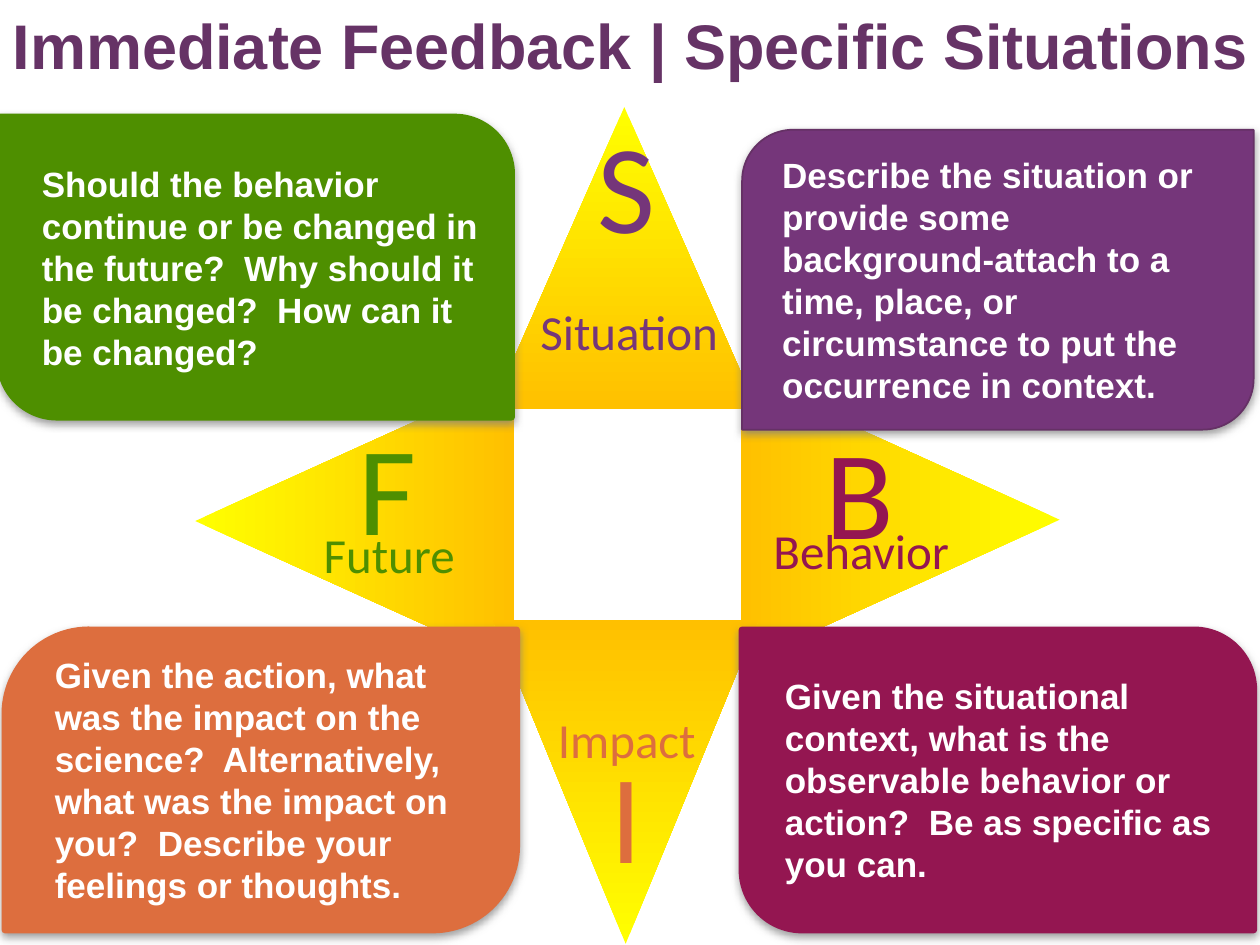
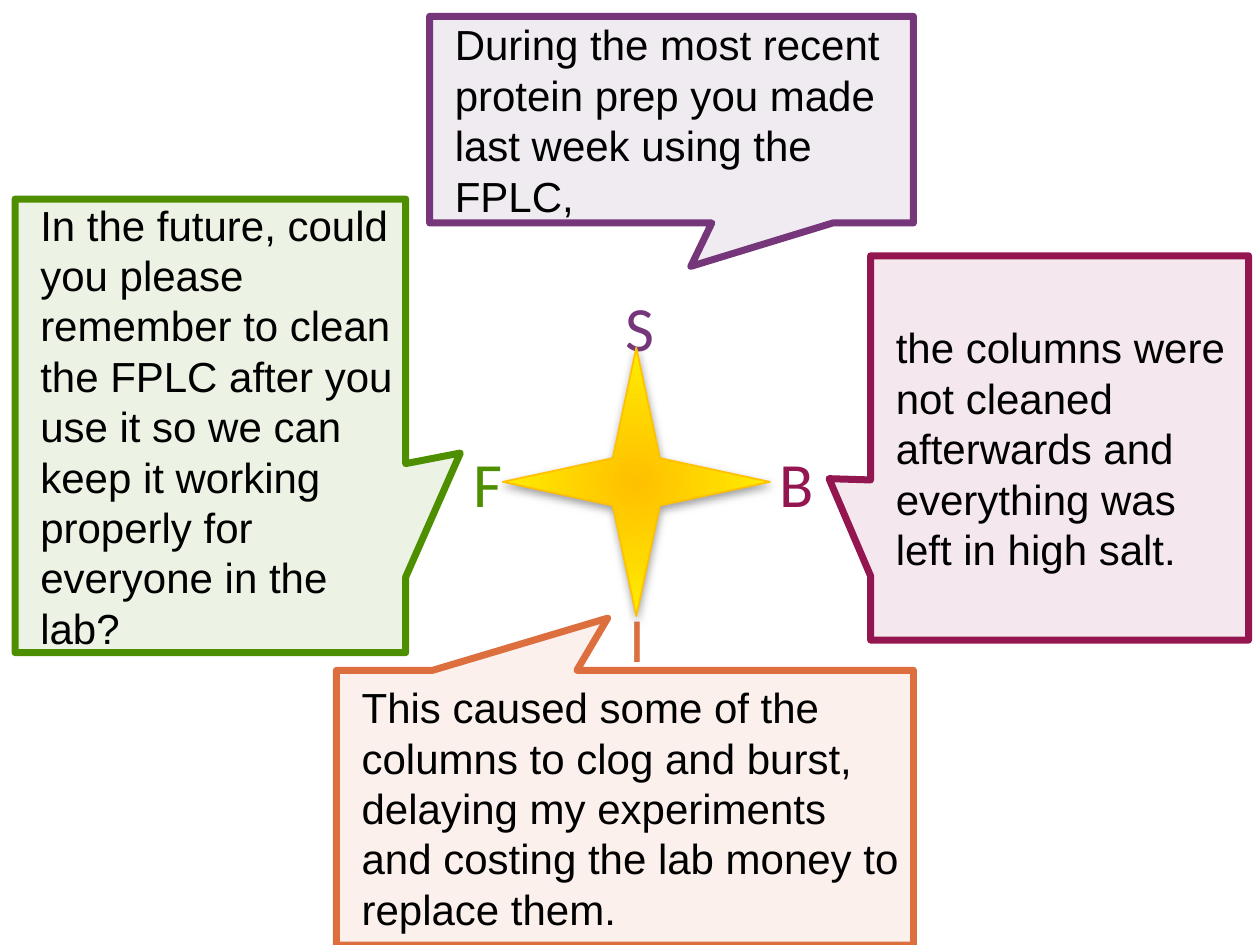
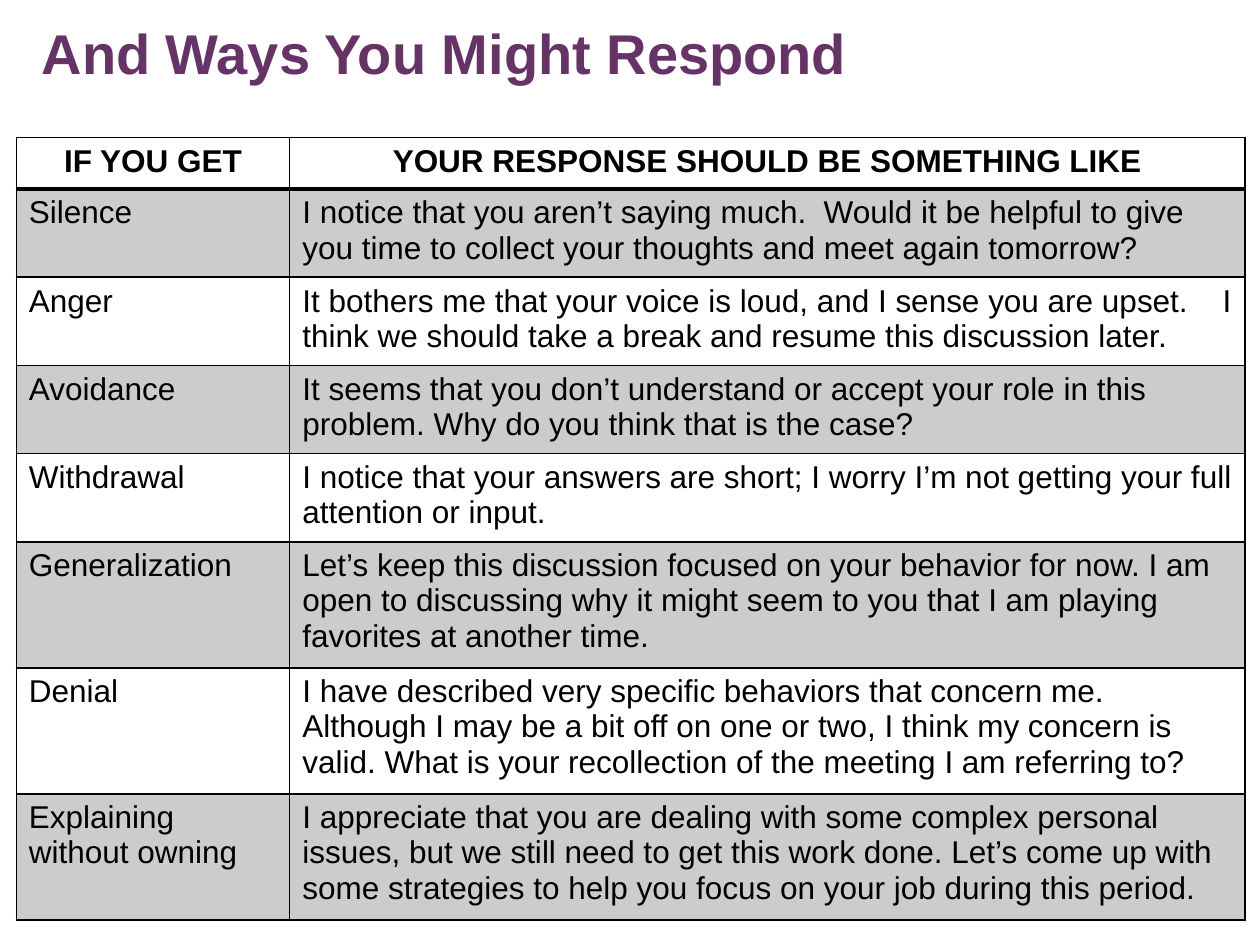
from dataclasses import dataclass

from lxml.etree import SubElement
from pptx import Presentation
from pptx.dml.color import RGBColor
from pptx.enum.shapes import MSO_SHAPE as Shape
from pptx.enum.text import MSO_ANCHOR as Anchor, MSO_AUTO_SIZE as AutoSize, PP_ALIGN as Align
from pptx.oxml import parse_xml
from pptx.oxml.ns import nsdecls, qn
from pptx.util import Inches, Pt


@dataclass(frozen=True)
class Theme:
    situation: str = "75367A"
    behavior: str = "941651"
    impact: str = "DD6E3E"
    future: str = "4E8F00"
    situation_edge: str = "653165"
    title: str = "663366"
    ink: str = "000000"
    paper: str = "FFFFFF"
    tip: str = "FFFF00"
    core: str = "FFC000"
    shade: str = "808080"
    heading_font: str = "Arial"
    letter_font: str = "Calibri"
    title_size: int = 36
    table_title_size: int = 32
    letter_size: int = 72
    small_letter_size: int = 36
    word_size: int = 28
    card_size: int = 20
    callout_size: int = 24
    table_size: int = 18


THEME = Theme()
SLIDE_WIDTH, SLIDE_HEIGHT = Inches(10), Inches(7.5)
COLUMN, ROW = SLIDE_WIDTH // 100, SLIDE_HEIGHT // 75
TITLE_ONLY, BLANK = 5, 6

POINTS = [
    (60, 28.6, 22.9, 25.3, 90),
    (16.7, 28.7, 22.9, 25.3, 270),
    (39, 8.5, 21.1, 24, 0),
    (39.1, 49.2, 21.1, 25.7, 180),
]

WORDS = [
    ("Situation", THEME.situation, (46.4, 8, 6.7, 13.1), (41.9, 23.4, 21.8, 5.7)),
    ("Behavior", THEME.behavior, (64.5, 32.3, 7.5, 13.1), (60.4, 40.8, 16.1, 5.7)),
    ("Impact", THEME.impact, (47.5, 58, 9.2, 13.1), (43.3, 55.8, 14.4, 5.7)),
    ("Future", THEME.future, (27.5, 32, 6.7, 13.1), (24.7, 41.1, 14.2, 5.7)),
]

CARDS = [
    (58.9, 10.3, THEME.situation, THEME.situation_edge, 1, (0.17, 0),
     "Describe the situation or provide some background-attach to a time, place, "
     "or circumstance to put the occurrence in context."),
    (58.9, 50, THEME.behavior, THEME.behavior, 4, (0, 0.2),
     "Given the situational context, what is the observable behavior or action?  "
     "Be as specific as you can."),
    (0.4, 50, THEME.impact, THEME.impact, 4, (0.28, 0),
     "Given the action, what was the impact on the science?  Alternatively, what was "
     "the impact on you?  Describe your feelings or thoughts."),
    (0, 9.3, THEME.future, THEME.future, 4, (0, 0.19),
     "Should the behavior continue or be changed in the future?  Why should it be "
     "changed?  How can it be changed?"),
]

CALLOUTS = [
    ("S", THEME.situation, (48.7, 22.4, 4.6, 7.1), (34.1, 1.3, 38.4, 16.4), (0.04, 0.71),
     "During the most recent protein prep you made last week using the FPLC,"),
    ("B", THEME.behavior, (60.9, 34.8, 4.1, 7.2), (69.1, 20.3, 30, 30.5), (-0.61, 0.08),
     "the columns were not cleaned afterwards and everything was left in high salt."),
    ("F", THEME.future, (36.6, 34.8, 2.7, 7.1), (1.2, 15.8, 31, 36), (0.64, 0.06),
     "In the future, could you please remember to clean the FPLC after you use it "
     "so we can keep it working properly for everyone in the lab?"),
    ("I", THEME.impact, (49, 47.1, 6.3, 7.1), (26.7, 53.2, 45.8, 21.8), (-0.03, -0.69),
     "This caused some of the columns to clog and burst, delaying my experiments "
     "and costing the lab money to replace them."),
]

RESPONSES = [
    (4.1, "IF YOU GET", "YOUR RESPONSE SHOULD BE SOMETHING LIKE"),
    (7, "Silence",
     "I notice that you aren’t saying much.  Would it be helpful to give you time to "
     "collect your thoughts and meet again tomorrow?"),
    (7, "Anger",
     "It bothers me that your voice is loud, and I sense you are upset.    I think we "
     "should take a break and resume this discussion later."),
    (7, "Avoidance",
     "It seems that you don’t understand or accept your role in this problem. Why do "
     "you think that is the case?"),
    (7, "Withdrawal",
     "I notice that your answers are short; I worry I’m not getting your full "
     "attention or input."),
    (10, "Generalization",
     "Let’s keep this discussion focused on your behavior for now. I am open to "
     "discussing why it might seem to you that I am playing favorites at another time."),
    (10, "Denial",
     "I have described very specific behaviors that concern me. Although I may be a "
     "bit off on one or two, I think my concern is valid. What is your recollection "
     "of the meeting I am referring to?"),
    (10, "Explaining without owning",
     "I appreciate that you are dealing with some complex personal issues, but we "
     "still need to get this work done. Let’s come up with some strategies to help "
     "you focus on your job during this period."),
]


def rgb(color):
    return RGBColor.from_string(color)


def grid(left, top, width, height):
    return (round(left * COLUMN), round(top * ROW),
            round(width * COLUMN), round(height * ROW))


def write(frame, text, size, color, font=THEME.heading_font, bold=False, align=Align.LEFT):
    para = frame.paragraphs[0]
    para.alignment = align
    span = para.add_run()
    span.text = text
    span.font.size = Pt(size)
    span.font.name = font
    span.font.bold = bold
    span.font.color.rgb = rgb(color)


def add_title(page, text, area, size):
    title = page.shapes.title
    title.left, title.top, title.width, title.height = grid(*area)
    frame = title.text_frame
    frame.auto_size = AutoSize.NONE
    frame.vertical_anchor = Anchor.TOP
    write(frame, text, size, THEME.title, bold=True)


def add_label(page, text, area, size, color):
    box = page.shapes.add_textbox(*grid(*area))
    box.text_frame.word_wrap = True
    write(box.text_frame, text, size, color, font=THEME.letter_font)


def paint(fill, holder, color, opacity=100):
    fill.solid()
    fill.fore_color.rgb = rgb(color)
    if opacity < 100:
        tint = holder.find(qn("a:solidFill"))[0]
        SubElement(tint, qn("a:alpha"), val=str(opacity * 1000))


def blend(fill, first, last):
    fill.gradient()
    fill.gradient_angle = 270
    for stop, color in zip(fill.gradient_stops, (first, last)):
        stop.color.rgb = rgb(color)


def add_figure(page, kind, area, edge=None, weight=1, adjust=()):
    figure = page.shapes.add_shape(kind, *grid(*area))
    figure.shadow.inherit = False
    for index, value in enumerate(adjust):
        figure.adjustments[index] = value
    if edge:
        figure.line.color.rgb = rgb(edge)
        figure.line.width = Pt(weight)
    else:
        figure.line.fill.background()
    return figure


def drop_shadow(figure):
    effects = figure._element.spPr.find(qn("a:effectLst"))
    effects.append(parse_xml(
        f'<a:outerShdw {nsdecls("a")} blurRad="{Pt(5)}" dist="{Pt(2)}" dir="5400000" '
        f'rotWithShape="0"><a:srgbClr val="{THEME.shade}"><a:alpha val="75000"/>'
        f'</a:srgbClr></a:outerShdw>'))


def fill_text(figure, text, size, color, bold=False):
    frame = figure.text_frame
    frame.word_wrap = True
    frame.vertical_anchor = Anchor.MIDDLE
    frame.margin_left = Inches(0.2)
    write(frame, text, size, color, bold=bold)


def add_point(page, left, top, width, height, turn):
    point = add_figure(page, Shape.ISOSCELES_TRIANGLE, (left, top, width, height))
    point.rotation = turn
    blend(point.fill, THEME.tip, THEME.core)


def add_card(page, left, top, color, edge, weight, corners, text):
    card = add_figure(page, Shape.ROUND_2_DIAG_RECTANGLE, (left, top, 40.6, 23.8),
                      edge, weight, corners)
    paint(card.fill, card._element.spPr, color)
    drop_shadow(card)
    fill_text(card, text, THEME.card_size, THEME.paper, bold=True)


def add_callout(page, color, area, pointer, text):
    callout = add_figure(page, Shape.RECTANGULAR_CALLOUT, area, color, 4, pointer)
    paint(callout.fill, callout._element.spPr, color, opacity=10)
    fill_text(callout, text, THEME.callout_size, THEME.ink)


def add_star(page, area):
    star = add_figure(page, Shape.STAR_4_POINT, area, THEME.core)
    blend(star.fill, THEME.core, THEME.tip)
    gradient = star._element.spPr.find(qn("a:gradFill"))
    gradient.replace(gradient.find(qn("a:lin")), parse_xml(
        f'<a:path {nsdecls("a")} path="circle">'
        '<a:fillToRect l="50000" t="50000" r="50000" b="50000"/></a:path>'))
    drop_shadow(star)


def add_borders(cell, top, bottom):
    sides = (("L", 1), ("R", 1), ("T", top), ("B", bottom))
    for index, (side, weight) in enumerate(sides):
        cell._tc.get_or_add_tcPr().insert(index, parse_xml(
            f'<a:ln{side} {nsdecls("a")} w="{Pt(weight)}"><a:solidFill>'
            f'<a:srgbClr val="{THEME.ink}"/></a:solidFill></a:ln{side}>'))


def add_responses(page, left, top, widths):
    height = sum(row[0] for row in RESPONSES)
    area = grid(left, top, sum(widths), height)
    table = page.shapes.add_table(len(RESPONSES), len(widths), *area).table
    table.first_row = table.horz_banding = False
    for column, width in zip(table.columns, widths):
        column.width = round(width * COLUMN)
    for index, (row_height, *texts) in enumerate(RESPONSES):
        table.rows[index].height = round(row_height * ROW)
        header = index == 0
        for cell, text in zip(table.rows[index].cells, texts):
            if index % 2:
                paint(cell.fill, cell._tc.get_or_add_tcPr(), THEME.ink, opacity=20)
            else:
                cell.fill.background()
            add_borders(cell, 2 if index == 1 else 1, 2 if header else 1)
            write(cell.text_frame, text, THEME.table_size, THEME.ink, bold=header,
                  align=Align.CENTER if header else Align.LEFT)


def build_model(page):
    add_title(page, "Immediate Feedback | Specific Situations",
              (0, 0, 120.3, 14.5), THEME.title_size)
    for point in POINTS:
        add_point(page, *point)
    for word, color, letter_area, word_area in WORDS:
        add_label(page, word[0], letter_area, THEME.letter_size, color)
        add_label(page, word, word_area, THEME.word_size, color)
    for card in CARDS:
        add_card(page, *card)


def build_example(page):
    for letter, color, letter_area, area, pointer, text in CALLOUTS:
        add_label(page, letter, letter_area, THEME.small_letter_size, color)
        add_callout(page, color, area, pointer, text)
    add_star(page, (39.9, 27.6, 21.2, 21.3))


def build_responses(page):
    add_title(page, "And Ways You Might Respond",
              (2.3, 1, 97.7, 10.8), THEME.table_title_size)
    add_responses(page, 1.3, 10.9, (21.7, 75.8))


def main():
    deck = Presentation()
    deck.slide_width, deck.slide_height = SLIDE_WIDTH, SLIDE_HEIGHT
    for layout, build in ((TITLE_ONLY, build_model), (BLANK, build_example),
                          (TITLE_ONLY, build_responses)):
        build(deck.slides.add_slide(deck.slide_layouts[layout]))
    deck.save("out.pptx")


if __name__ == "__main__":
    main()
